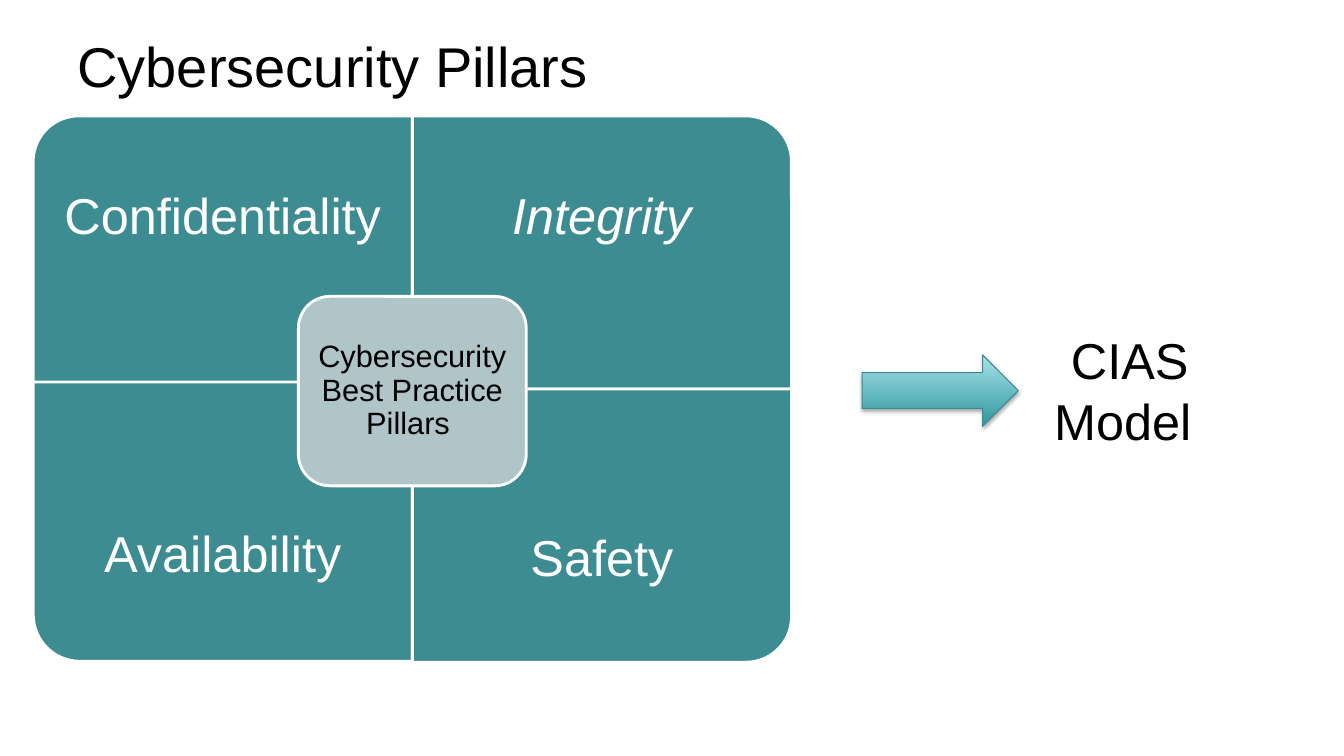
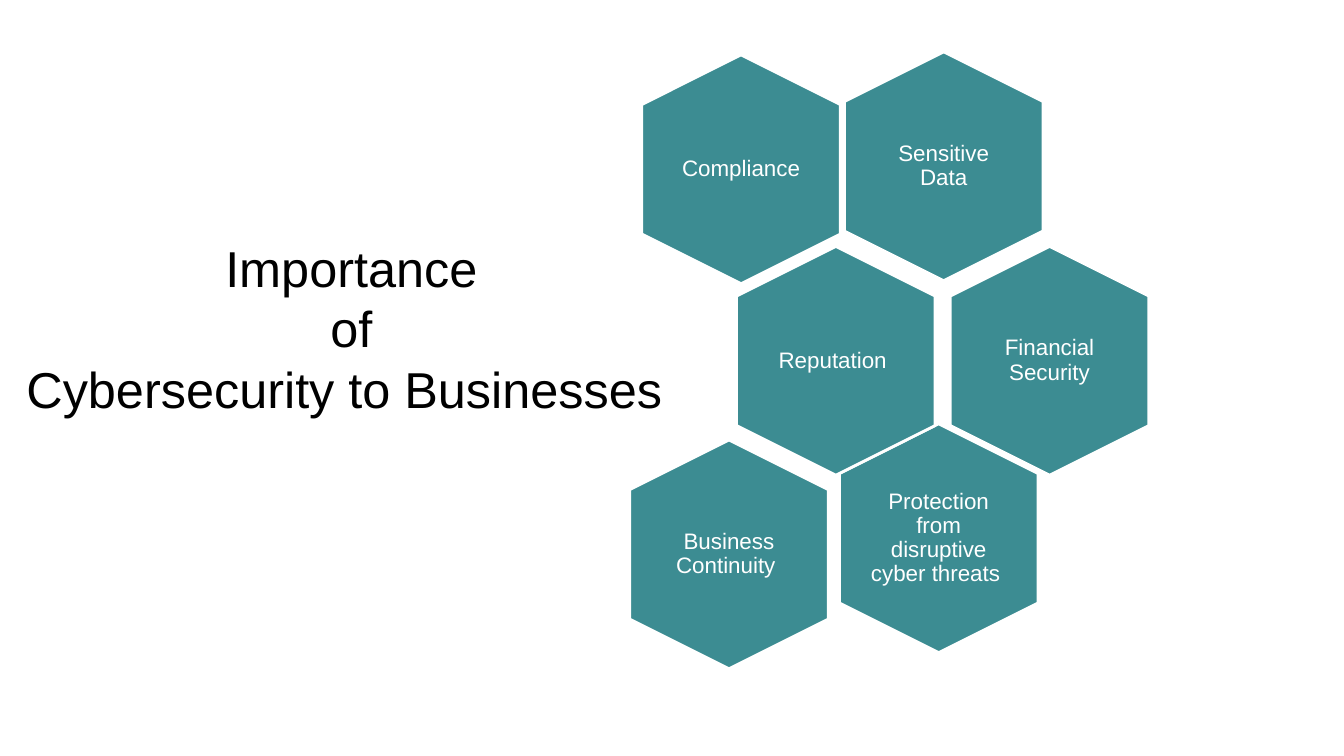
from lxml import etree
from pptx import Presentation
from pptx.dml.color import RGBColor
from pptx.enum.shapes import MSO_SHAPE
from pptx.enum.text import MSO_ANCHOR, PP_ALIGN
from pptx.oxml import parse_xml
from pptx.oxml.ns import nsdecls, qn
from pptx.util import Inches, Pt

CORNER, ROUNDED = MSO_SHAPE.ROUND_1_RECTANGLE, MSO_SHAPE.ROUNDED_RECTANGLE
HEXAGON, ARROW = MSO_SHAPE.HEXAGON, MSO_SHAPE.RIGHT_ARROW
LEFT, CENTER = PP_ALIGN.LEFT, PP_ALIGN.CENTER
TOP, MIDDLE = MSO_ANCHOR.TOP, MSO_ANCHOR.MIDDLE

COLORS = {
    "teal": "3C8C92",
    "mist": "AFC5C7",
    "white": "FFFFFF",
    "black": "000000",
    "arrow_dark": "2F979F",
    "arrow_light": "A9E2E9",
    "arrow_line": "398B91",
}
PALETTE = {name: RGBColor.from_string(value) for name, value in COLORS.items()}
FONT = "Arial"
LABEL = {"align": CENTER, "color": "white", "line_spacing": 0.9}


def add_block(slide, kind, box, fill, rotation=0):
    """Add a white-edged shape that fills box (inches) once it is rotated."""
    left, top, width, height = box
    if rotation in (90, 270):
        left, top = left + (width - height) / 2, top + (height - width) / 2
        width, height = height, width
    shape = slide.shapes.add_shape(kind, *map(Inches, (left, top, width, height)))
    shape.shadow.inherit = False
    shape.rotation = rotation
    shape.fill.solid()
    shape.fill.fore_color.rgb = PALETTE[fill]
    shape.line.color.rgb = PALETTE["white"]
    shape.line.width = Pt(2)
    return shape


def write_text(slide, text, size, box=None, shape=None, inset=None, anchor=MIDDLE,
               align=LEFT, color="black", line_spacing=None, italic=None):
    """Write into shape, or into a new text box at box (inches)."""
    shape = shape or slide.shapes.add_textbox(*map(Inches, box))
    frame = shape.text_frame
    frame.word_wrap = True
    frame.vertical_anchor = anchor
    if inset is not None:
        for side in ("left", "top", "right", "bottom"):
            setattr(frame, f"margin_{side}", Inches(inset))
    paragraph = frame.paragraphs[0]
    paragraph.text = text
    paragraph.alignment = align
    paragraph.line_spacing = line_spacing
    font_format = {"name": FONT, "size": Pt(size), "italic": italic}
    for run in paragraph.runs:
        for attribute, value in font_format.items():
            setattr(run.font, attribute, value)
        run.font.color.rgb = PALETTE[color]


presentation = Presentation()
presentation.slide_width = Inches(13.33)
presentation.slide_height = Inches(7.5)
blank_layout = presentation.slide_layouts[6]

# Pillars: four quadrants around a centre card
slide = presentation.slides.add_slide(blank_layout)
write_text(slide, "Cybersecurity Pillars", 40, (0.67, 0.21, 12, 0.87))

QUADRANT_WIDTH = 3.76
# name, column, top, height, rotation, label at the bottom, italic
pillars = [
    ("Confidentiality", 0, 1.15, 2.71, 270, False, None),
    ("Integrity", 1, 1.15, 2.71, 0, False, True),
    ("Availability", 0, 3.79, 2.77, 180, True, None),
    ("Safety", 1, 3.86, 2.71, 90, True, None),
]
for name, column, top, height, rotation, at_bottom, italic in pillars:
    left = 0.33 + column * QUADRANT_WIDTH
    add_block(slide, CORNER, (left, top, QUADRANT_WIDTH, height), "teal", rotation)
    label_top = top + height / 4 if at_bottom else top
    write_text(slide, name, 36, (left, label_top, QUADRANT_WIDTH, height * 3 / 4),
               inset=0.28, italic=italic, **LABEL)

center_card = add_block(slide, ROUNDED, (2.96, 2.94, 2.26, 1.88), "mist")
write_text(slide, "Cybersecurity Best Practice Pillars ", 22, shape=center_card,
           inset=0.09, **{**LABEL, "color": "black"})

arrow = add_block(slide, ARROW, (8.55, 3.52, 1.55, 0.71), "teal")
arrow.line.color.rgb = PALETTE["arrow_line"]
arrow.line.width = Pt(0.75)
arrow.fill.gradient()
arrow.fill.gradient_angle = 90
for stop, color in zip(arrow.fill.gradient_stops, ("arrow_dark", "arrow_light")):
    stop.color.rgb = PALETTE[color]
effects = arrow._element.spPr.find(qn("a:effectLst"))
shadow = parse_xml(
    f'<a:outerShdw {nsdecls("a")} blurRad="{Pt(3.1)}" dist="{Pt(1.8)}" '
    'dir="5400000" rotWithShape="0"/>')
shadow_color = etree.SubElement(shadow, qn("a:srgbClr"), val=COLORS["black"])
etree.SubElement(shadow_color, qn("a:alpha"), val="35000")
effects.append(shadow)

write_text(slide, "CIAS Model ", 36, (10.34, 3.22, 1.73, 1.31), anchor=TOP, align=CENTER)

# Importance: a honeycomb of reasons
slide = presentation.slides.add_slide(blank_layout)
write_text(slide, "Importance\vof\vCybersecurity to Businesses ", 36,
           (0, 1.83, 6.97, 2.84), align=CENTER)

HEXAGON_SIZE = (1.97, 2.27)
LABEL_SIZE = (1.36, 1.56)
# text, centre x, centre y, label inset
reasons = [
    ("Sensitive Data", 9.36, 1.65, 0.07),
    ("Protection from disruptive cyber threats ", 9.31, 5.34, 0),
    ("Reputation ", 8.29, 3.58, 0.07),
    ("Financial Security", 10.41, 3.58, 0),
    ("Compliance", 7.35, 1.68, 0.07),
    ("Business Continuity ", 7.23, 5.5, 0),
]
for text, center_x, center_y, inset in reasons:
    hexagon_box, label_box = [
        (center_x - width / 2, center_y - height / 2, width, height)
        for width, height in (HEXAGON_SIZE, LABEL_SIZE)
    ]
    add_block(slide, HEXAGON, hexagon_box, "teal", 90)
    write_text(slide, text, 16, label_box, inset=inset, **LABEL)

presentation.save("out.pptx")
